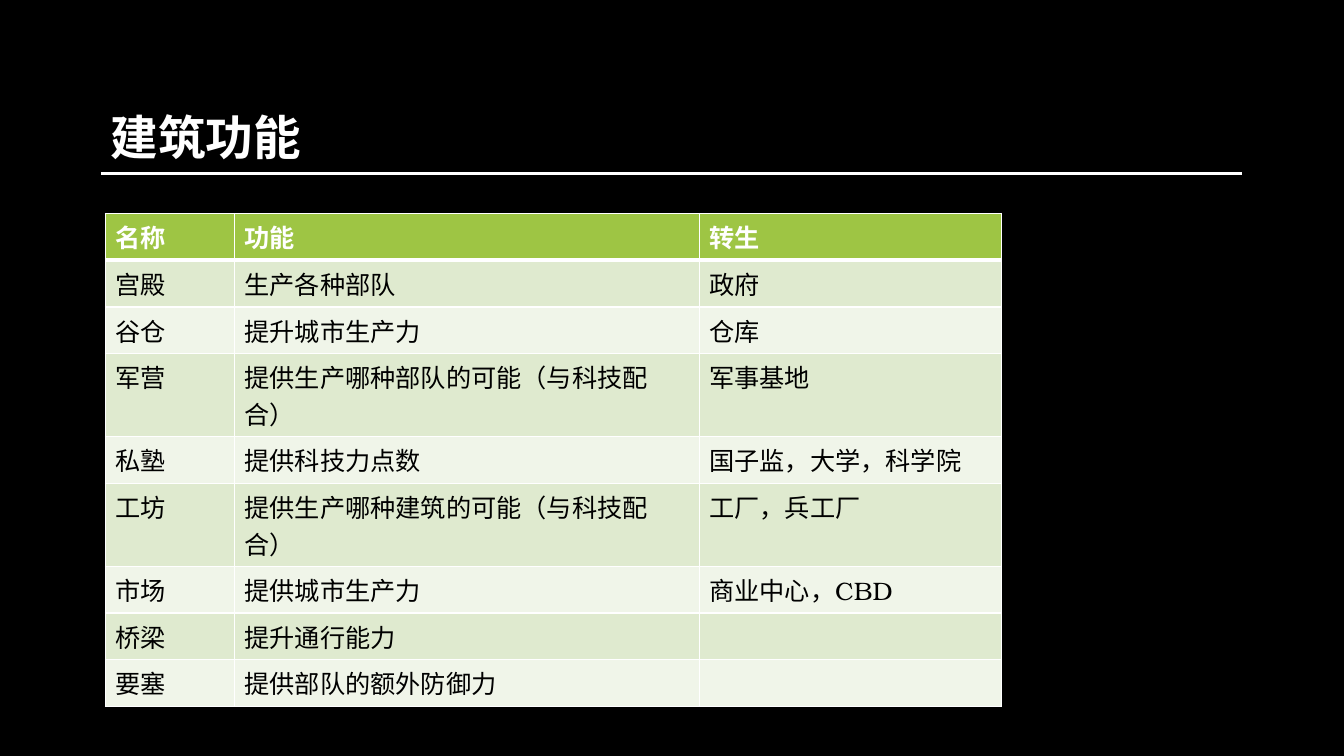
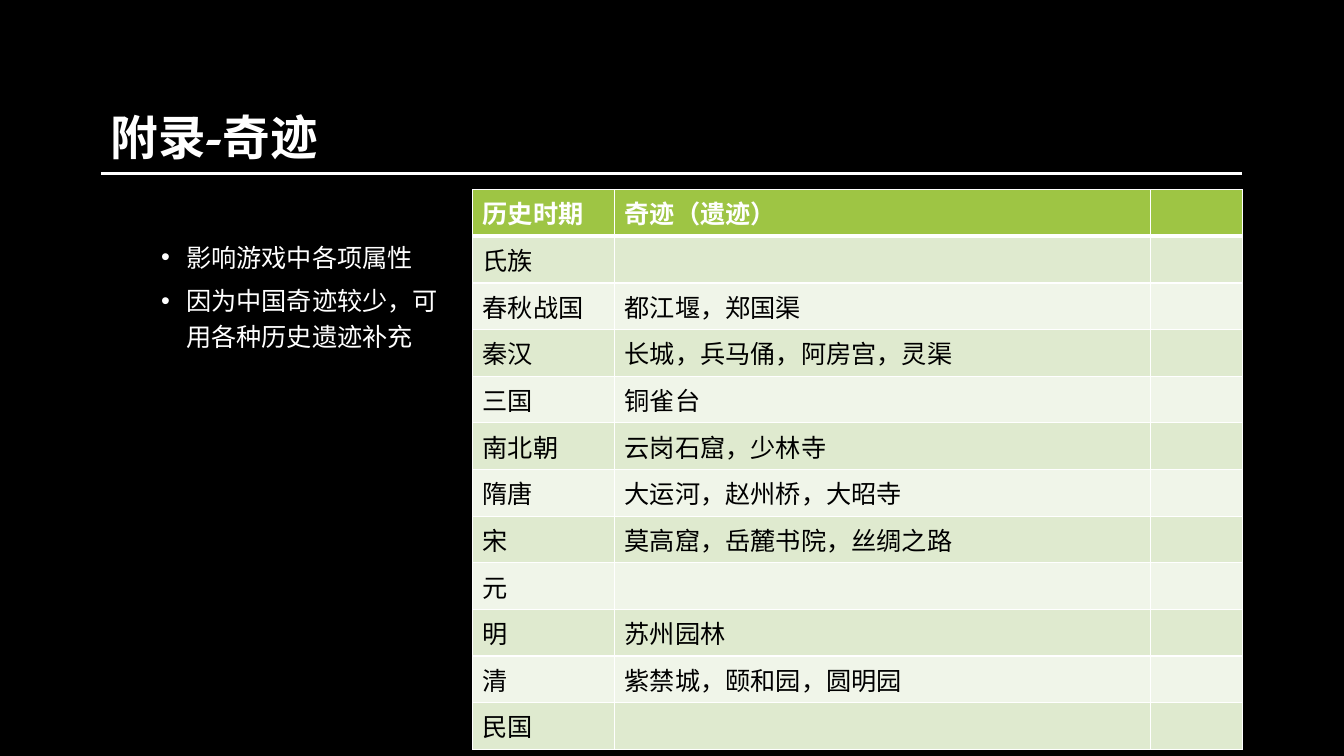
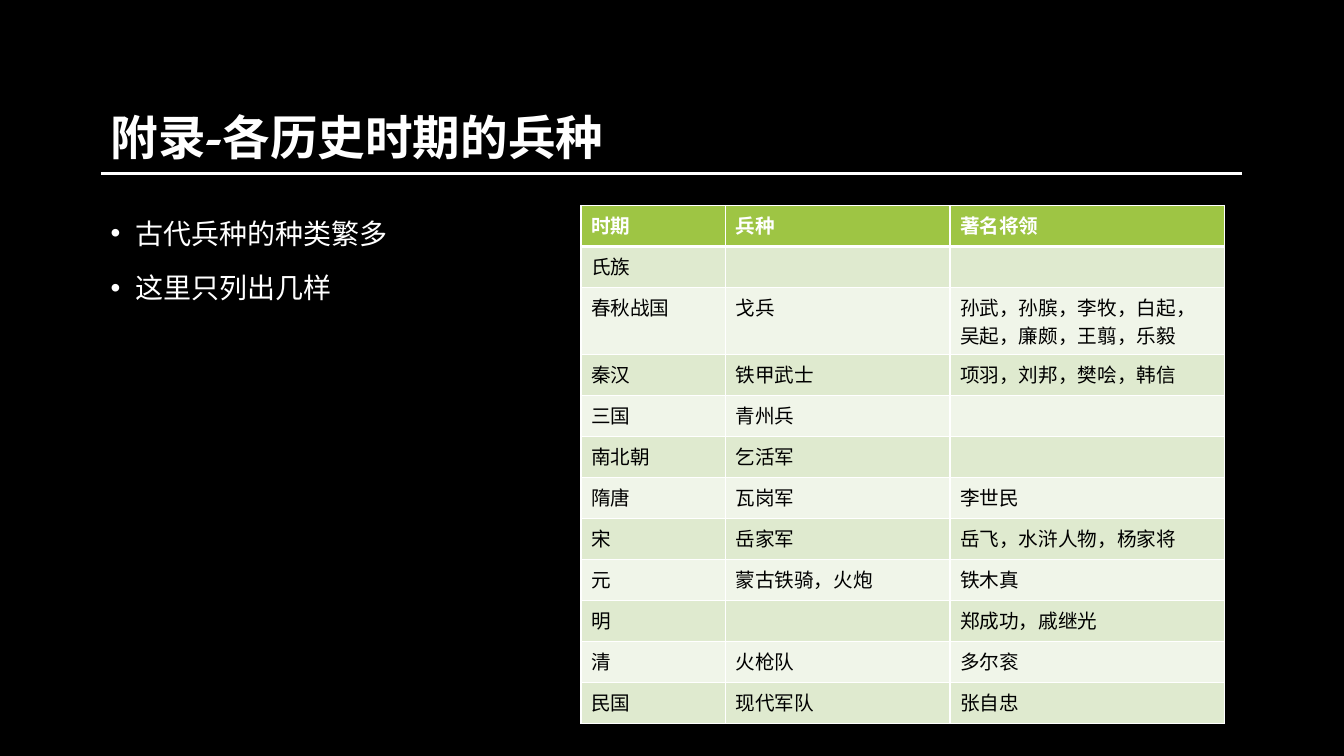
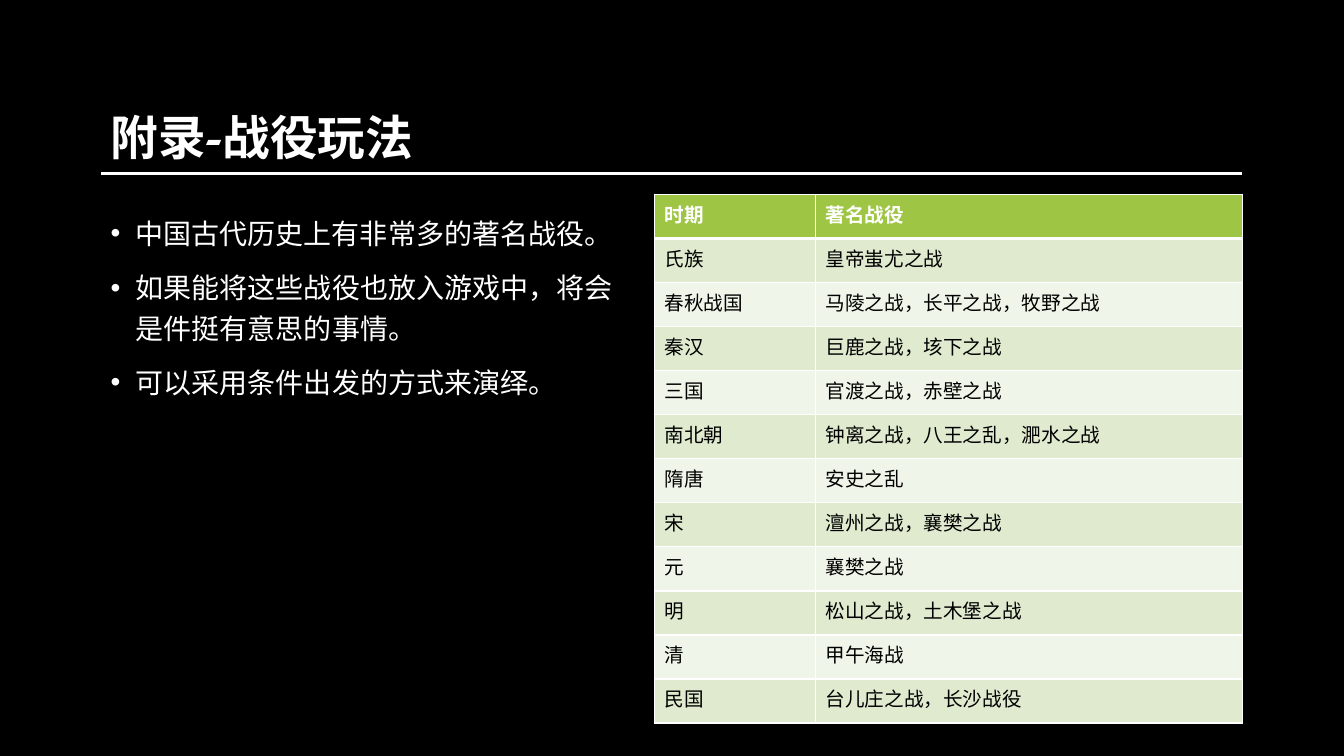
from lxml.etree import SubElement
from pptx import Presentation
from pptx.dml.color import RGBColor
from pptx.enum.shapes import MSO_CONNECTOR
from pptx.enum.text import MSO_ANCHOR
from pptx.oxml.ns import qn
from pptx.util import Cm, Pt

FONT = "TeX Gyre Bonum"
BLACK = RGBColor(0x00, 0x00, 0x00)
WHITE = RGBColor(0xFF, 0xFF, 0xFF)
GREEN = RGBColor(0x9E, 0xC5, 0x44)
BAND_DARK = RGBColor(0xDF, 0xEA, 0xCF)
BAND_LIGHT = RGBColor(0xF0, 0xF5, 0xE9)

LEFT = 2.54
WIDTH = 28.75
BODY_HEIGHT = 10.26
HANGING = 0.63

ERAS = ["氏族", "春秋战国", "秦汉", "三国", "南北朝", "隋唐", "宋", "元", "明", "清", "民国"]

BUILDINGS = [
    ("名称", "功能", "转生"),
    ("宫殿", "生产各种部队", "政府"),
    ("谷仓", "提升城市生产力", "仓库"),
    ("军营", "提供生产哪种部队的可能（与科技配合）", "军事基地"),
    ("私塾", "提供科技力点数", "国子监，大学，科学院"),
    ("工坊", "提供生产哪种建筑的可能（与科技配合）", "工厂，兵工厂"),
    ("市场", "提供城市生产力", "商业中心，CBD"),
    ("桥梁", "提升通行能力", ""),
    ("要塞", "提供部队的额外防御力", ""),
]
WONDERS = ["", "都江堰，郑国渠", "长城，兵马俑，阿房宫，灵渠", "铜雀台", "云岗石窟，少林寺",
           "大运河，赵州桥，大昭寺", "莫高窟，岳麓书院，丝绸之路", "", "苏州园林",
           "紫禁城，颐和园，圆明园", ""]
TROOPS = ["", "戈兵", "铁甲武士", "青州兵", "乞活军", "瓦岗军", "岳家军", "蒙古铁骑，火炮",
          "", "火枪队", "现代军队"]
GENERALS = ["", "孙武，孙膑，李牧，白起，吴起，廉颇，王翦，乐毅", "项羽，刘邦，樊哙，韩信", "", "",
            "李世民", "岳飞，水浒人物，杨家将", "铁木真", "郑成功，戚继光", "多尔衮", "张自忠"]
BATTLES = ["皇帝蚩尤之战", "马陵之战，长平之战，牧野之战", "巨鹿之战，垓下之战",
           "官渡之战，赤壁之战", "钟离之战，八王之乱，淝水之战", "安史之乱",
           "澶州之战，襄樊之战", "襄樊之战", "松山之战，土木堡之战", "甲午海战",
           "台儿庄之战，长沙战役"]


def write(p, text, size=18, color=WHITE, bold=False, spacing=None, before=None):
    if spacing:
        p.line_spacing = spacing
    if before:
        p.space_before = Pt(before)
    if not text:
        p._p.get_or_add_endParaRPr().set("sz", str(size * 100))
        return
    r = p.add_run()
    r.text = text
    r.font.name = FONT
    r.font.size = Pt(size)
    r.font.bold = bold
    r.font.color.rgb = color


def add_bullet(p, indent):
    pPr = p._p.get_or_add_pPr()
    pPr.set("marL", str(Cm(indent)))
    pPr.set("indent", str(-Cm(HANGING)))
    SubElement(pPr, qn("a:buFont"), typeface="Arial")
    SubElement(pPr, qn("a:buChar"), char="•")


def add_text_box(slide, left, top, width, height):
    tf = slide.shapes.add_textbox(Cm(left), Cm(top), Cm(width), Cm(height)).text_frame
    tf.word_wrap = True
    return tf


def add_title(slide, text):
    tf = add_text_box(slide, LEFT, 1.7, WIDTH, 3.68)
    tf.vertical_anchor = MSO_ANCHOR.MIDDLE
    write(tf.paragraphs[0], text, size=34, bold=True, spacing=0.9)
    rule = slide.shapes.add_connector(
        MSO_CONNECTOR.STRAIGHT, Cm(LEFT), Cm(4.37), Cm(LEFT + WIDTH), Cm(4.37))
    rule.line.color.rgb = WHITE
    rule.line.width = Pt(2)
    SubElement(rule._element.spPr, qn("a:effectLst"))


def add_bullets(slide, items, top=5.16, width=13.67, size=20, before=10, indent=HANGING):
    tf = add_text_box(slide, LEFT, top, width, BODY_HEIGHT)
    for i, item in enumerate(items):
        p = tf.add_paragraph() if i else tf.paragraphs[0]
        write(p, item, size=size, spacing=1.2, before=before)
        add_bullet(p, indent)


def set_borders(cell, top, bottom):
    tcPr = cell._tc.get_or_add_tcPr()
    widths = {"a:lnL": 1, "a:lnR": 1, "a:lnT": top, "a:lnB": bottom}
    for tag, width in widths.items():
        ln = SubElement(tcPr, qn(tag), w=str(Pt(width)))
        SubElement(SubElement(ln, qn("a:solidFill")), qn("a:srgbClr"), val=str(WHITE))


def add_grid(slide, rows, left, top, widths, height, size=18, tall_rows=(), tall_height=0):
    table = slide.shapes.add_table(
        len(rows), len(widths), Cm(left), Cm(top), Cm(sum(widths)), Cm(height)).table
    table.first_row = False
    table.horz_banding = False
    for column, width in zip(table.columns, widths):
        column.width = Cm(width)
    row_height = (height - tall_height * len(tall_rows)) / (len(rows) - len(tall_rows))
    for i, row in enumerate(rows):
        table.rows[i].height = Cm(tall_height if i in tall_rows else row_height)
        header = i == 0
        fill = GREEN if header else BAND_DARK if i % 2 else BAND_LIGHT
        for j, text in enumerate(row):
            cell = table.cell(i, j)
            set_borders(cell, top=3 if i == 1 else 1, bottom=3 if header else 1)
            cell.fill.solid()
            cell.fill.fore_color.rgb = fill
            write(cell.text_frame.paragraphs[0], text, size=size,
                  color=WHITE if header else BLACK, bold=header)


def new_slide(prs, title):
    slide = prs.slides.add_slide(prs.slide_layouts[6])
    slide.background.fill.solid()
    slide.background.fill.fore_color.rgb = BLACK
    add_title(slide, title)
    return slide


def main():
    prs = Presentation()
    prs.slide_width = Cm(33.87)
    prs.slide_height = Cm(19.05)

    s = new_slide(prs, "建筑功能")
    add_grid(s, BUILDINGS, 2.66, 5.38, [3.25, 11.71, 7.62], 12.42,
             tall_rows=(3, 5), tall_height=2.09)

    s = new_slide(prs, "附录-奇迹")
    rows = [("历史时期", "奇迹（遗迹）", "")]
    rows += [(era, wonder, "") for era, wonder in zip(ERAS, WONDERS)]
    add_grid(s, rows, 11.91, 4.78, [3.58, 13.51, 2.31], 14.1)
    add_bullets(s, ["影响游戏中各项属性", "因为中国奇迹较少，可用各种历史遗迹补充"],
                top=5.82, width=9, size=18, before=5, indent=1.9)

    s = new_slide(prs, "附录-各历史时期的兵种")
    rows = [("时期", "兵种", "著名将领"), *zip(ERAS, TROOPS, GENERALS)]
    add_grid(s, rows, 14.64, 5.18, [3.64, 5.66, 6.91], 13.05, size=14,
             tall_rows=(2,), tall_height=1.69)
    add_bullets(s, ["古代兵种的种类繁多", "这里只列出几样"])

    s = new_slide(prs, "附录-战役玩法")
    rows = [("时期", "著名战役"), *zip(ERAS, BATTLES)]
    add_grid(s, rows, 16.49, 4.9, [4.06, 10.77], 13.32, size=14)
    add_bullets(s, ["中国古代历史上有非常多的著名战役。",
                    "如果能将这些战役也放入游戏中，将会是件挺有意思的事情。",
                    "可以采用条件出发的方式来演绎。"])

    prs.save("out.pptx")


if __name__ == "__main__":
    main()
